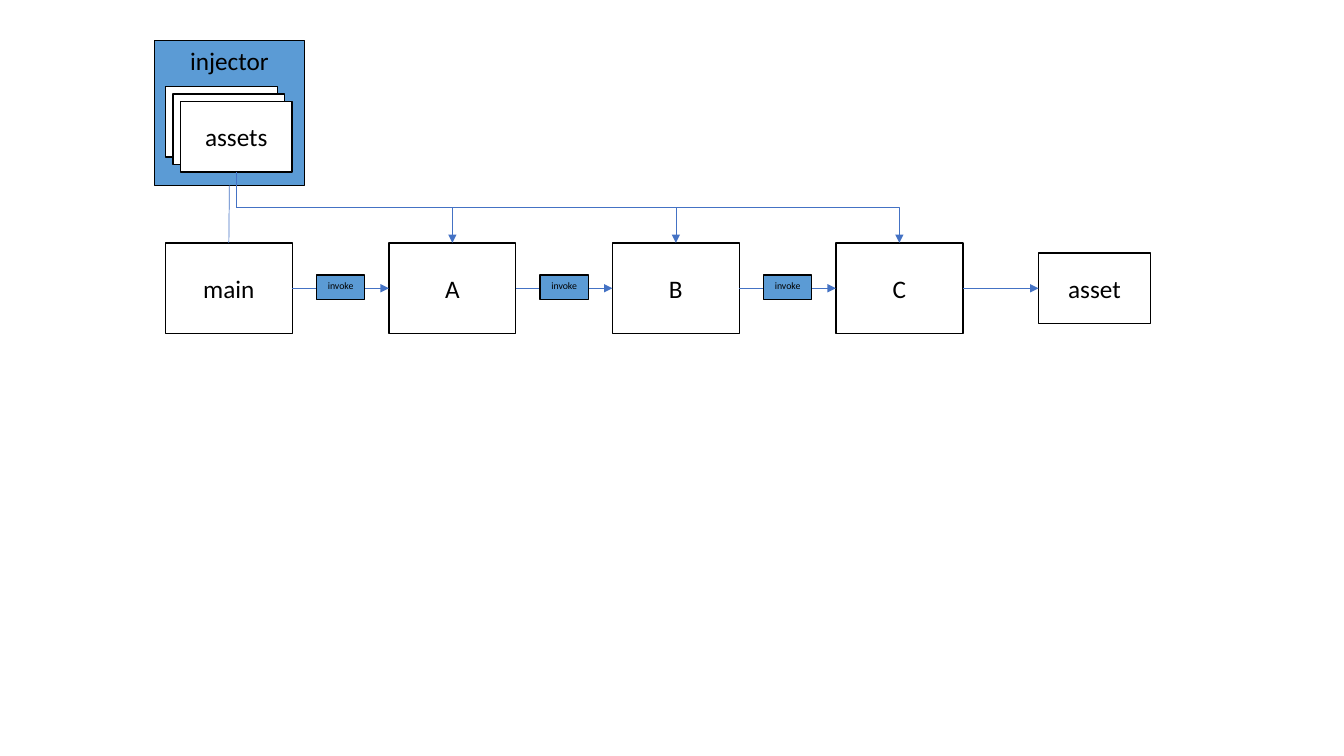
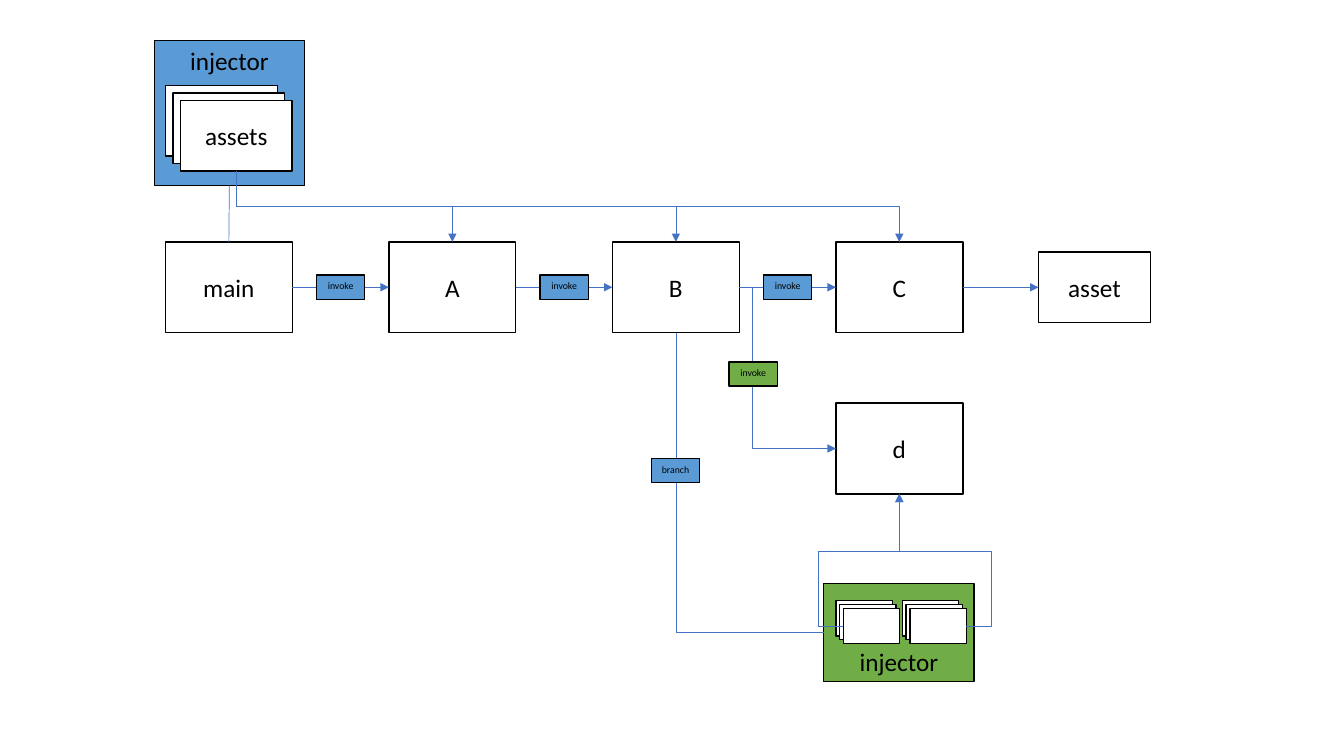
from lxml.etree import SubElement
from pptx import Presentation
from pptx.dml.color import RGBColor
from pptx.enum.shapes import MSO_CONNECTOR, MSO_SHAPE
from pptx.enum.text import MSO_ANCHOR, PP_ALIGN
from pptx.oxml.ns import qn
from pptx.util import Inches, Pt

COLOURS = {
    "paper": "FFFFFF",
    "ink": "000000",
    "wire": "4472C4",
    "main": "5B9BD5",
    "branch": "70AD47",
}
FONT = "Calibri"
TOP, LEFT, BOTTOM, RIGHT = range(4)  # connection sites of a rectangle

# Stages, sized and spaced alike; lengths in inches
STAGE_WIDTH, STAGE_HEIGHT = 1.26, 0.9
FIRST_LEFT, LAST_LEFT = 1.64, 8.29
STAGE_STEP = (LAST_LEFT - FIRST_LEFT) / 3
ASSET_WIDTH, ASSET_HEIGHT = 1.11, 0.7
LABEL_WIDTH, LABEL_HEIGHT = 0.48, 0.24


def add_block(shapes, text, left, top, width, height, fill="paper",
              size=18, anchor=MSO_ANCHOR.MIDDLE):
    """Add an outlined rectangle with centred text."""
    box = shapes.add_shape(MSO_SHAPE.RECTANGLE, Inches(left), Inches(top),
                           Inches(width), Inches(height))
    box.shadow.inherit = False
    box.fill.solid()
    box.fill.fore_color.rgb = RGBColor.from_string(COLOURS[fill])
    box.line.color.rgb = RGBColor.from_string(COLOURS["ink"])
    box.line.width = Pt(1)
    if text:
        frame = box.text_frame
        frame.word_wrap = True
        frame.margin_left = frame.margin_right = 0
        frame.vertical_anchor = anchor
        para = frame.paragraphs[0]
        para.alignment = PP_ALIGN.CENTER
        span = para.add_run()
        span.text = text
        span.font.name = FONT
        span.font.size = Pt(size)
        span.font.color.rgb = RGBColor.from_string(COLOURS["ink"])
    return box


def add_wire(page, source, source_site, target, target_site,
             preset="line", adjust=(), arrow=True):
    """Join two boxes; a bent wire leaving a bottom edge starts downwards."""
    wire = page.shapes.add_connector(MSO_CONNECTOR.STRAIGHT, 0, 0, 0, 0)
    wire.begin_connect(source, source_site)
    wire.end_connect(target, target_site)
    wire.line.color.rgb = RGBColor.from_string(COLOURS["wire"])
    wire.line.width = Pt(0.5)
    properties = wire.element.spPr

    # Bends and their positions, in thousandths of a percent
    geometry = properties.find(qn("a:prstGeom"))
    geometry.set("prst", preset)
    for number, value in enumerate(adjust, 1):
        SubElement(geometry.find(qn("a:avLst")), qn("a:gd"),
                   name=f"adj{number}", fmla=f"val {value}")

    # Quarter turn about the centre
    if preset != "line" and source_site == BOTTOM:
        left, top, width, height = wire.left, wire.top, wire.width, wire.height
        wire.left = left + (width - height) // 2
        wire.top = top + (height - width) // 2
        wire.width, wire.height = height, width
        frame = properties.find(qn("a:xfrm"))
        frame.set("rot", str(270 * 60000))
        frame.set("flipH", "1")

    if arrow:
        SubElement(properties.find(qn("a:ln")), qn("a:tailEnd"), type="triangle")
    SubElement(properties, qn("a:effectLst"))


deck = Presentation()
deck.slide_width, deck.slide_height = Inches(13.33), Inches(7.5)

# One page without and one page with the branch
for row_top, branched in ((2.41, False), (2.4, True)):
    page = deck.slides.add_slide(deck.slide_layouts[6])

    # Row of stages and the final asset
    stages = [
        add_block(page.shapes, name, FIRST_LEFT + index * STAGE_STEP, row_top,
                  STAGE_WIDTH, STAGE_HEIGHT)
        for index, name in enumerate(("main", "A", "B", "C"))
    ]
    asset_top = row_top + (STAGE_HEIGHT - ASSET_HEIGHT) / 2
    asset = add_block(page.shapes, "asset", 10.3, asset_top,
                      ASSET_WIDTH, ASSET_HEIGHT)

    # Injectors, and the stacks of cards inside them
    injector = add_block(page.shapes, "injector", 1.53, 0.4, 1.49, 1.44, "main",
                         anchor=MSO_ANCHOR.TOP)
    stacks = [("assets", FIRST_LEFT, row_top - 1.55, ASSET_WIDTH, ASSET_HEIGHT)]
    if branched:
        stage_d = add_block(page.shapes, "d", LAST_LEFT, 4,
                            STAGE_WIDTH, STAGE_HEIGHT)
        branch_injector = add_block(page.shapes, "injector", 8.17, 5.79,
                                    1.49, 0.97, "branch",
                                    anchor=MSO_ANCHOR.BOTTOM)
        add_wire(page, stages[2], BOTTOM, branch_injector, LEFT,
                 "bentConnector2", arrow=False)
        stacks += [("", left, 5.96, 0.56, 0.35) for left in (LAST_LEFT, 8.95)]

    front_cards = []
    for text, left, top, width, height in stacks:
        group = page.shapes.add_group_shape()
        for depth, card_text in enumerate(("", "", text)):
            shift = depth * width / 15
            card = add_block(group.shapes, card_text, left + shift, top + shift,
                             width, height)
        front_cards.append(card)

    # Wires along the row and from the injector
    for source, target in zip(stages, stages[1:] + [asset]):
        add_wire(page, source, RIGHT, target, LEFT)
    add_wire(page, injector, BOTTOM, stages[0], TOP, arrow=False)
    for stage in stages[1:]:
        add_wire(page, front_cards[0], BOTTOM, stage, TOP, "bentConnector3")

    # Labels in the middle of each gap
    gap = STAGE_STEP - STAGE_WIDTH
    first_label = FIRST_LEFT + STAGE_WIDTH + (gap - LABEL_WIDTH) / 2
    labels = [("invoke", first_label + index * STAGE_STEP, 2.73, "main")
              for index in range(3)]

    # Wires and labels of the branch
    if branched:
        add_wire(page, front_cards[1], LEFT, stage_d, BOTTOM,
                 "bentConnector4", (-44900, 56600))
        add_wire(page, front_cards[2], RIGHT, stage_d, BOTTOM,
                 "bentConnector4", (-37600, 56600))
        add_wire(page, stages[2], RIGHT, stage_d, LEFT,
                 "bentConnector3", (13500,))
        labels += [("invoke", 7.23, 3.59, "branch"),
                   ("branch", 6.46, 4.55, "main")]

    for text, left, top, fill in labels:
        add_block(page.shapes, text, left, top, LABEL_WIDTH, LABEL_HEIGHT, fill,
                  size=7, anchor=MSO_ANCHOR.TOP)

deck.save("out.pptx")
